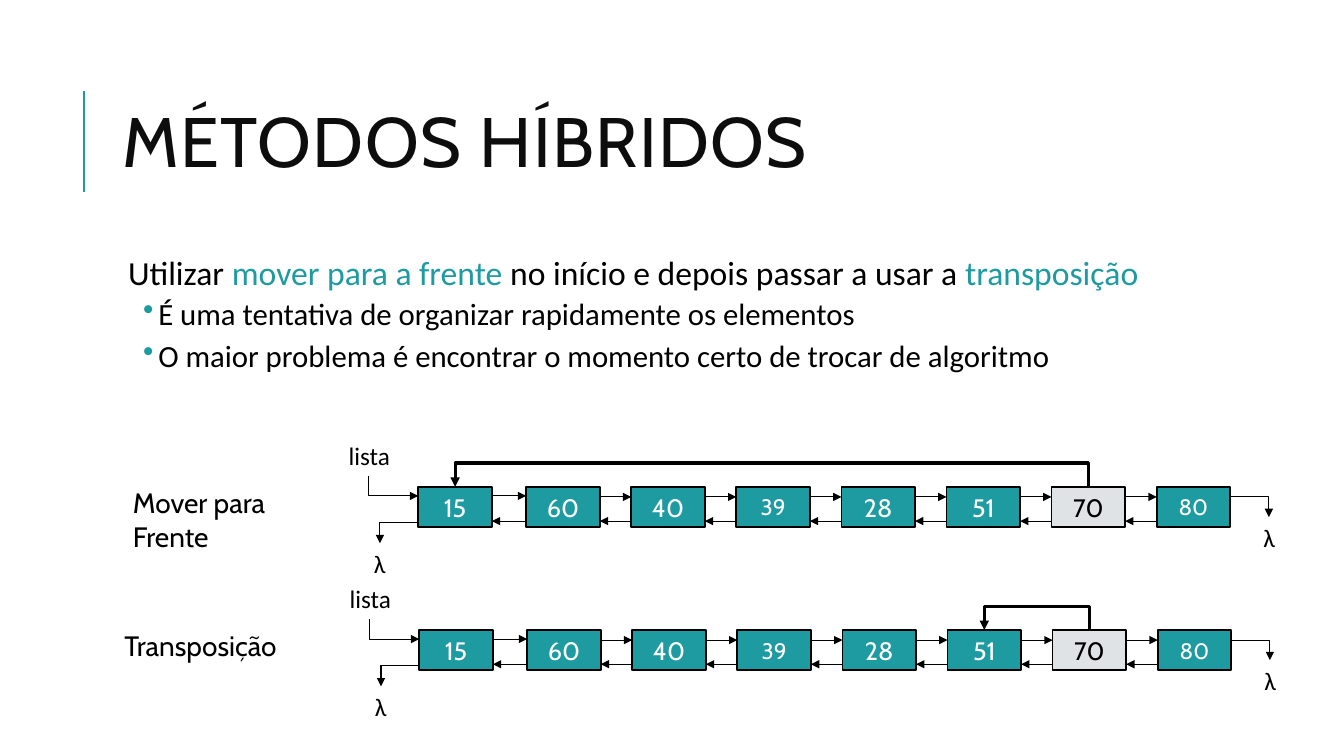
from collections import namedtuple
from dataclasses import dataclass

from lxml import etree
from pptx import Presentation
from pptx import util as u
from pptx.dml.color import RGBColor
from pptx.enum import shapes, text
from pptx.oxml.ns import qn

WIDTH, HEIGHT = u.Inches(13.33), u.Inches(7.5)
COLUMNS, ROWS = 160, 90
Box = namedtuple("Box", "x y w h")


@dataclass(frozen=True)
class Theme:
    teal: str = "1D9BA1"
    ink: str = "000000"
    heading: str = "0D0D0D"
    paper: str = "FFFFFF"
    grey: str = "DFE3E5"
    display: str = "Cabin"
    body: str = "Calibri"
    title_size: float = 50
    lead_size: float = 24
    bullet_size: float = 22
    label_size: float = 20
    node_size: float = 18
    small_size: float = 16
    thin: float = 0.75
    border: float = 1.25
    rule: float = 1.5
    bold_line: float = 2.25


THEME = Theme()
NODE = Box(0, 0, 8.76, 4.8)
PITCH, FIRST_GAP = 12.51, 0.33
VALUES = [15, 60, 40, 39, 28, 51, 70, 80]
SMALL_VALUES, SOUGHT = (39, 80), 70


def col(n):
    return round(n * WIDTH / COLUMNS)


def row(n):
    return round(n * HEIGHT / ROWS)


def place(box):
    return col(box.x), row(box.y), col(box.w), row(box.h)


def apply(target, values):
    for name, value in values.items():
        setattr(target, name, value)


def write(paragraph, words, size, color, face):
    run = paragraph.add_run()
    run.text = words
    apply(run.font, {"size": u.Pt(size), "name": face})
    run.font.color.rgb = RGBColor.from_string(color)
    return run


def text_area(slide, box, **frame_format):
    frame = slide.shapes.add_textbox(*place(box)).text_frame
    apply(frame, {"word_wrap": True, **frame_format})
    return frame


def label(slide, box, words, size, face, align=text.PP_ALIGN.LEFT):
    frame = text_area(slide, box, auto_size=text.MSO_AUTO_SIZE.SHAPE_TO_FIT_TEXT)
    frame.paragraphs[0].alignment = align
    write(frame.paragraphs[0], words, size, THEME.ink, face)


def stroke(connector, color, weight, arrow=True):
    connector.line.color.rgb = RGBColor.from_string(color)
    connector.line.width = u.Pt(weight)
    properties = connector._element.spPr
    if arrow:
        etree.SubElement(properties.find(qn("a:ln")), qn("a:tailEnd"), type="triangle")
    etree.SubElement(properties, qn("a:effectLst"))


def straight(slide, x1, y1, x2, y2, color=THEME.ink, weight=THEME.thin, arrow=True):
    line = slide.shapes.add_connector(
        shapes.MSO_CONNECTOR.STRAIGHT, col(x1), row(y1), col(x2), row(y2))
    stroke(line, color, weight, arrow)


def elbow(slide, x1, y1, x2, y2, weight=THEME.thin):
    bend = slide.shapes.add_connector(
        shapes.MSO_CONNECTOR.ELBOW, col(x1), row(y1), col(x2), row(y2))
    stroke(bend, THEME.ink, weight)
    bend._element.spPr.find(qn("a:prstGeom")).set("prst", "bentConnector2")
    return bend


def quarter_turn(bend, flip):
    center_x, center_y = bend.left + bend.width / 2, bend.top + bend.height / 2
    width, height = bend.height, bend.width
    apply(bend, {"left": round(center_x - width / 2), "top": round(center_y - height / 2),
                 "width": width, "height": height})
    frame = bend._element.spPr.find(qn("a:xfrm"))
    for name in ("flipH", "flipV"):
        frame.attrib.pop(name, None)
    frame.set("rot", "16200000")
    frame.set(flip, "1")


def bridge(slide, x1, x2, top, rise=3, drop=0.12):
    bend = elbow(slide, x1, top + drop, x2, top, THEME.bold_line)
    quarter_turn(bend, "flipV")
    geometry = bend._element.spPr.find(qn("a:prstGeom"))
    geometry.set("prst", "bentConnector3")
    guides = geometry.find(qn("a:avLst"))
    etree.SubElement(guides, qn("a:gd"), name="adj1", fmla=f"val {round(rise / drop * 100000)}")


def title_region(slide, box):
    straight(slide, box.x - 3.44, box.y + 15.12, box.x - 3.44, box.y + 3.12,
             THEME.teal, THEME.rule, arrow=False)
    frame = text_area(slide, box, vertical_anchor=text.MSO_ANCHOR.MIDDLE)
    heading = frame.paragraphs[0]
    heading.line_spacing = 0.8
    run = write(heading, "MÉTODOS HÍBRIDOS", THEME.title_size, THEME.heading, THEME.display)
    run.font._element.set("spc", "100")


def body_region(slide, box):
    inset = u.Inches(0.05)
    frame = text_area(slide, box, margin_left=inset, margin_right=inset,
                      margin_top=inset, margin_bottom=inset)
    lead = frame.paragraphs[0]
    apply(lead, {"line_spacing": 0.9, "space_after": u.Pt(2)})
    lead._p.get_or_add_pPr().set("marL", str(u.Inches(0.1)))
    for words, color in (("Utilizar ", THEME.ink), ("mover para a frente", THEME.teal),
                         (" no início e depois passar a usar a ", THEME.ink),
                         ("transposição", THEME.teal)):
        write(lead, words, THEME.lead_size, color, THEME.body)
    for words in ("É uma tentativa de organizar rapidamente os elementos",
                  "O maior problema é encontrar o momento certo de trocar de algoritmo"):
        point = frame.add_paragraph()
        apply(point, {"level": 1, "line_spacing": 0.9,
                      "space_before": u.Pt(2), "space_after": u.Pt(4)})
        properties = point._p.get_or_add_pPr()
        properties.set("marL", str(u.Inches(0.4)))
        properties.set("indent", str(-u.Inches(0.15)))
        bullet_color = etree.SubElement(properties, qn("a:buClr"))
        etree.SubElement(bullet_color, qn("a:srgbClr"), val=THEME.teal)
        etree.SubElement(properties, qn("a:buChar"), char="•")
        write(point, words, THEME.bullet_size, THEME.ink, THEME.body)


def list_node(slide, box, value):
    fill, ink = (THEME.grey, THEME.ink) if value == SOUGHT else (THEME.teal, THEME.paper)
    node = slide.shapes.add_shape(shapes.MSO_SHAPE.RECTANGLE, *place(box))
    node.shadow.inherit = False
    node.fill.solid()
    node.fill.fore_color.rgb = RGBColor.from_string(fill)
    node.line.color.rgb = RGBColor.from_string(THEME.ink)
    node.line.width = u.Pt(THEME.border)
    node.text_frame.vertical_anchor = text.MSO_ANCHOR.MIDDLE
    number = node.text_frame.paragraphs[0]
    number.alignment = text.PP_ALIGN.CENTER
    size = THEME.small_size if value in SMALL_VALUES else THEME.node_size
    write(number, str(value), size, ink, THEME.display)


def list_region(slide, origin, destination):
    left, top = origin.x, origin.y
    starts = [left + PITCH * k + (FIRST_GAP if k else 0) for k in range(len(VALUES))]
    for start, value in zip(starts, VALUES):
        list_node(slide, Box(start, top, NODE.w, NODE.h), value)
    for k, (start, following) in enumerate(zip(starts, starts[1:])):
        ahead = top + (1.2 if k else 1.08)
        straight(slide, start + NODE.w, ahead, following, ahead)
        straight(slide, following, top + 4.08, start + NODE.w, top + 4.08)
    middle = NODE.w / 2
    bridge(slide, starts[VALUES.index(SOUGHT)] + middle,
           starts[VALUES.index(destination)] + middle, top)

    label(slide, Box(left - 9.48, top - 6.12, 7.32, 4.8), "lista", THEME.node_size, THEME.body)
    quarter_turn(elbow(slide, left - 5.88, top - 1.32, left, top + 1.08), "flipH")
    right = starts[-1] + NODE.w
    elbow(slide, left, top + 4.2, left - 4.56, top + 6.72)
    elbow(slide, right, top + 1.2, right + 4.6, top + 3.6)
    for x, y in ((left - 6.48, top + 6.72), (right + 2.76, top + 3.6)):
        label(slide, Box(x, y, 3.72, 4.8), "λ", THEME.node_size, THEME.body,
              text.PP_ALIGN.CENTER)


def main():
    deck = Presentation()
    apply(deck, {"slide_width": WIDTH, "slide_height": HEIGHT})
    slide = deck.slides.add_slide(deck.slide_layouts[6])
    title_region(slide, Box(13.44, 7.68, 127.56, 19.68))
    body_region(slide, Box(13.44, 30, 127.56, 52.8))
    methods = (
        ("Mover para Frente", Box(14.64, 57.24, 20.52, 5.28), text.PP_ALIGN.LEFT,
         Box(49.8, 57.96, 101, 10), 15),
        ("Transposição", Box(11.52, 74.28, 24.72, 5.28), text.PP_ALIGN.CENTER,
         Box(49.92, 75, 101, 10), 51),
    )
    for name, name_box, align, chain, destination in methods:
        label(slide, name_box, name, THEME.label_size, THEME.display, align)
        list_region(slide, chain, destination)
    deck.save("out.pptx")


if __name__ == "__main__":
    main()
